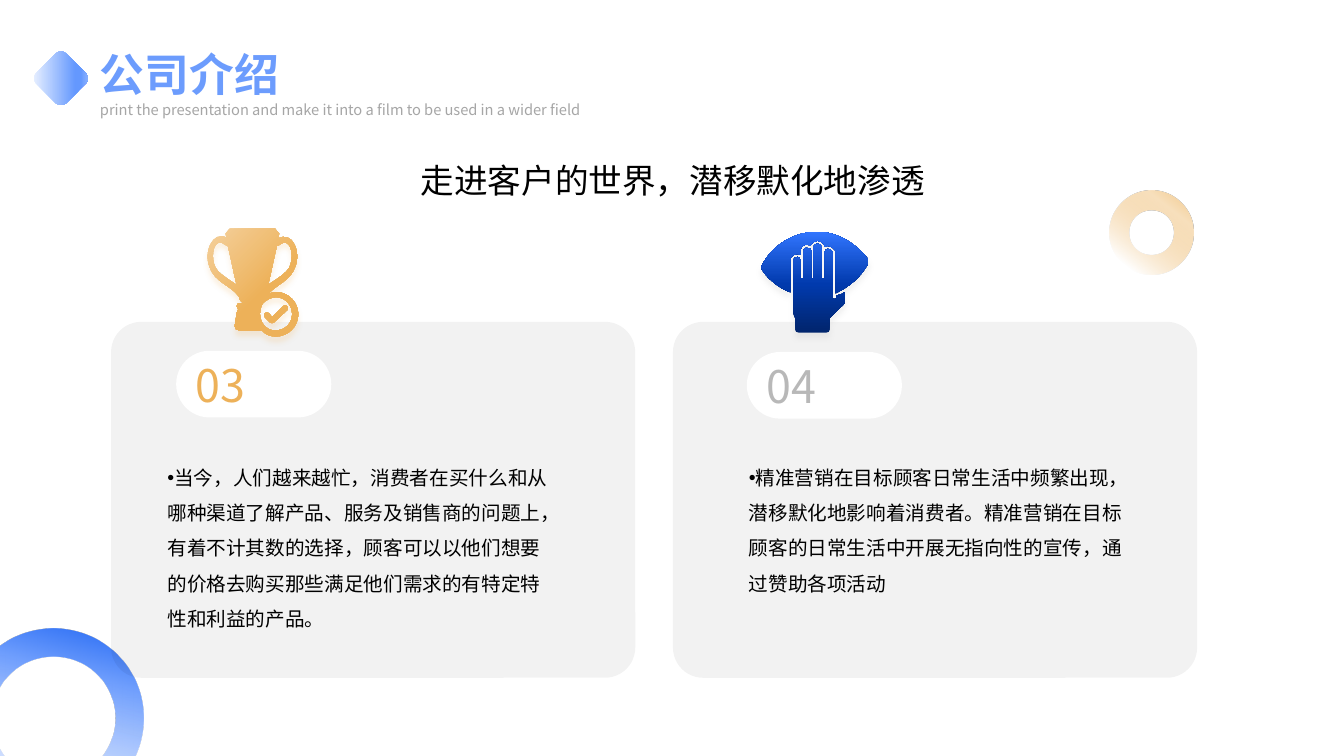
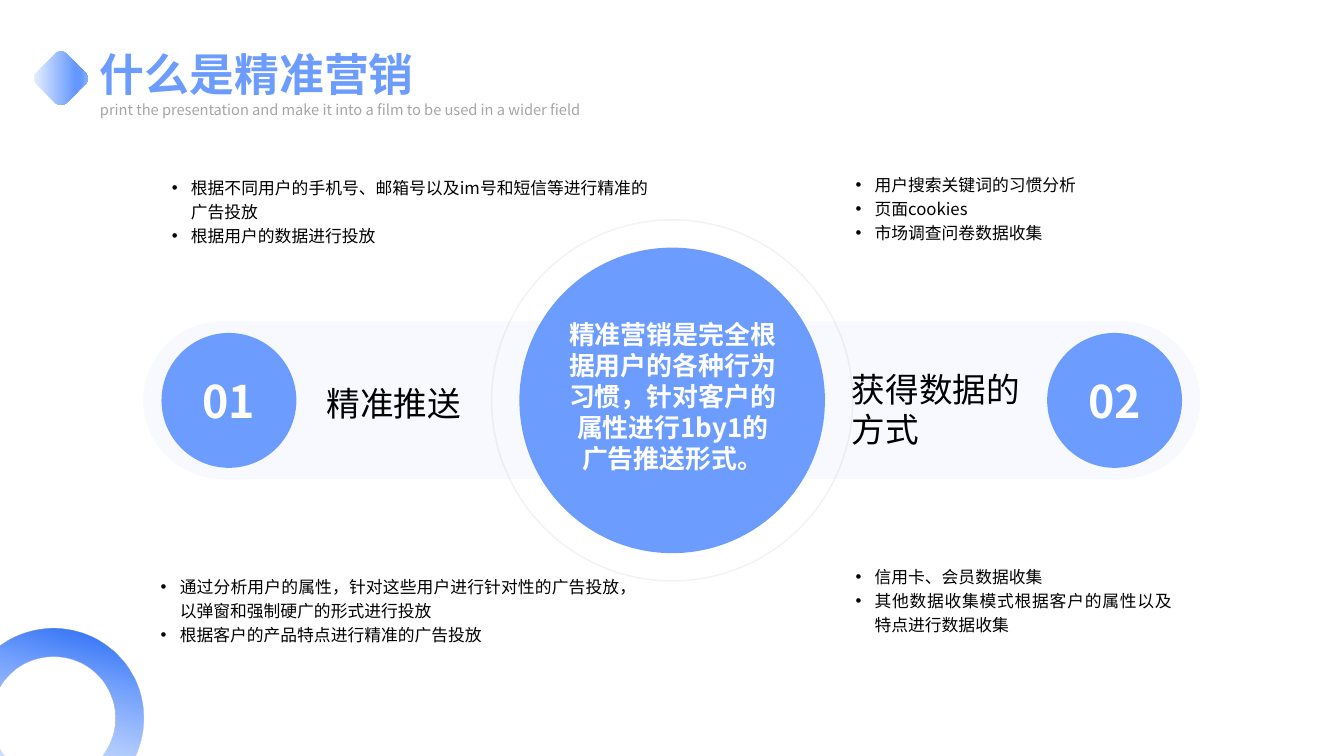
from lxml.etree import Element, SubElement
from pptx import Presentation
from pptx.dml.color import RGBColor
from pptx.enum.shapes import MSO_SHAPE as Kind
from pptx.enum.text import MSO_ANCHOR as Anchor
from pptx.enum.text import MSO_AUTO_SIZE as Fit
from pptx.enum.text import PP_ALIGN as Align
from pptx.oxml.ns import qn
from pptx.util import Cm, Pt

FONT = "Noto Sans CJK SC"
BLUE = RGBColor(0x6C, 0x9C, 0xFD)
GOLD = RGBColor(0xED, 0xB1, 0x59)
SILVER = RGBColor(0xB8, 0xB8, 0xB8)
GRAY = RGBColor(0xA6, 0xA6, 0xA6)
RIM = RGBColor(0x80, 0x80, 0x80)
BLACK = RGBColor(0, 0, 0)
WHITE = RGBColor(0xFF, 0xFF, 0xFF)

# Gradients: direction in degrees, then (position, colour, opacity)
GEM_FADE = 315, [(0, "EEF4FF", 100), (74, "6498FE", 100),
                 (83, "6498FE", 100), (100, "98BAFE", 100)]
RING_FADE = 270, [(0, "0351EF", 100), (32, "709FFD", 100), (97, "A7C4FE", 0)]
HALO_FADE = 270, [(0, "EDB159", 100), (32, "F8E0BD", 100), (75, "EDB159", 0)]
CUP_FADE = 45, [(0, "F4D09B", 100), (60, "EDB159", 100)]
HAND_FADE = 270, [(0, "01256D", 100), (48, "013AAD", 100), (100, "3175FE", 100)]

TAGLINE = "print the presentation and make it into a film to be used in a wider field"

# Icon outlines in hundredths of an inch: pairs are corners, sixes are curves
HOLE = [(75, 14), (73, 15, 72, 15, 70, 17), (70, 17, 69, 17, 69, 17),
        (66, 28, 63, 45, 60, 56), (63, 54, 66, 52, 69, 50),
        (73, 47, 78, 44, 81, 39), (86, 30, 84, 12, 75, 14)]
CUP = [(22, 0), (67, 0), (71, 5), (71, 5, 71, 7, 70, 10),
       (84, 2, 93, 23, 87, 38), (82, 52, 69, 55, 60, 65),
       (63, 64, 65, 63, 68, 63), (80, 63, 90, 73, 90, 85),
       (90, 97, 80, 107, 68, 107), (62, 107, 57, 105, 54, 101),
       (31, 101), (29, 101, 27, 99, 27, 97), (29, 84),
       (29, 82, 30, 80, 31, 80), (30, 80, 29, 78, 29, 77),
       (29, 76, 30, 74, 31, 74), (35, 74), (33, 72, 31, 70, 31, 67),
       (31, 67, 31, 66, 30, 66), (22, 56, 7, 53, 2, 38),
       (-4, 23, 5, 2, 19, 9), (18, 7, 18, 5, 18, 5)]
TICK = [(75, 77), (76, 76, 78, 76, 79, 77), (80, 78, 80, 80, 79, 81),
        (66, 93), (65, 94, 63, 94, 62, 93), (57, 88),
        (56, 87, 56, 85, 57, 84), (58, 83, 60, 83, 61, 84), (64, 88)]
DISC = [(68, 68), (63, 68, 58, 71, 55, 74), (53, 77, 52, 81, 52, 85),
        (52, 91, 55, 97, 61, 100), (63, 101, 65, 101, 68, 101),
        (77, 101, 84, 94, 84, 85), (84, 76, 77, 68, 68, 68)]
HAND = [(56, 12), (54, 12, 52, 13, 52, 15), (52, 46), (50, 46), (50, 19),
        (50, 17, 48, 16, 45, 16), (44, 16, 42, 17, 42, 19), (42, 46),
        (39, 46), (39, 28), (39, 27, 38, 25, 36, 25),
        (34, 25, 32, 27, 32, 28), (32, 79), (32, 81, 33, 84, 34, 86),
        (34, 97), (34, 99, 35, 100, 37, 100), (65, 100),
        (67, 100, 68, 99, 68, 97), (68, 86), (80, 74),
        (83, 72, 83, 70, 83, 68), (83, 60), (79, 63, 75, 63, 75, 63),
        (75, 66, 74, 67, 73, 67), (71, 67, 71, 65, 71, 64), (71, 20),
        (71, 19, 68, 17, 66, 17), (65, 17, 63, 19, 63, 20), (63, 46),
        (60, 46), (60, 15), (60, 13, 58, 12, 56, 12)]
EYE = [(52, 0), (30, 2, 11, 14, 1, 33), (0, 34, 0, 36, 1, 38),
       (8, 48, 18, 56, 29, 60), (29, 28), (29, 27, 30, 25, 31, 24),
       (32, 23, 34, 22, 36, 22), (37, 22, 38, 23, 39, 23), (39, 19),
       (39, 17, 40, 16, 41, 14), (43, 13, 44, 13, 45, 13),
       (47, 13, 48, 13, 49, 14), (50, 12, 51, 11, 51, 11),
       (53, 10, 54, 9, 56, 9), (58, 9, 59, 10, 61, 11),
       (62, 12, 63, 13, 63, 15), (64, 15, 65, 14, 66, 14),
       (68, 14, 70, 15, 71, 16), (73, 17, 74, 19, 74, 20), (74, 61),
       (87, 55, 99, 45, 106, 32), (107, 31, 107, 29, 106, 27),
       (93, 10, 73, -1, 52, 0)]


def flip(outline, width):
    """Mirror an outline across the middle of the given width."""
    return [tuple(width - v if i % 2 == 0 else v for i, v in enumerate(step))
            for step in outline]


def tint(node, code, alpha):
    color = SubElement(node, qn("a:srgbClr"), val=str(code))
    SubElement(color, qn("a:alpha"), val=str(alpha * 1000))


def fade(shape, turn, stops):
    """Fill a shape with a gradient of several stops."""
    shape.fill.background()
    grad = shape.element.spPr.find(qn("a:noFill"))
    grad.tag = qn("a:gradFill")
    grad.set("rotWithShape", "1")
    row = SubElement(grad, qn("a:gsLst"))
    for pos, code, alpha in stops:
        tint(SubElement(row, qn("a:gs"), pos=str(pos * 1000)), code, alpha)
    SubElement(grad, qn("a:lin"), ang=str(turn * 60000), scaled="0")


def veil(shape, alpha):
    for color in shape.element.spPr.iter(qn("a:srgbClr")):
        SubElement(color, qn("a:alpha"), val=str(alpha * 1000))


def draw(slide, kind, box, fill=None, line=None, alpha=100, adj=None, turn=0):
    """Add a preset shape; a tuple as fill means a gradient."""
    shape = slide.shapes.add_shape(kind, *map(Cm, box))
    shape.shadow.inherit = False
    shape.rotation = turn
    if adj is not None:
        shape.adjustments[0] = adj
    shape.line.fill.background()
    if line is not None:
        shape.line.color.rgb = line
        shape.line.width = Pt(1)
    if fill is None:
        shape.fill.background()
    elif isinstance(fill, RGBColor):
        shape.fill.solid()
        shape.fill.fore_color.rgb = fill
    else:
        fade(shape, *fill)
    if alpha < 100:
        veil(shape, alpha)
    return shape


def bend(shape, outlines):
    """Turn the straight edges that stand for curves into Bezier curves."""
    ends = [step[-2:] for outline in outlines for step in outline]
    x, y = (min(axis) for axis in zip(*ends))
    steps = [step for outline in outlines for step in outline[1:]]
    edges = list(shape.element.iter(qn("a:lnTo")))
    for edge, step in zip(edges, steps):
        if len(step) == 6:
            edge.tag = qn("a:cubicBezTo")
            for i in (0, 1):
                dot = Element(qn("a:pt"), x=str(step[2 * i] - x),
                              y=str(step[2 * i + 1] - y))
                edge.insert(i, dot)


def icon(slide, left, top, outlines, fill, glow):
    """Draw outlines as one freeform with a soft shadow."""
    pen = slide.shapes.build_freeform(*outlines[0][0], scale=Cm(2.54) / 100)
    for i, outline in enumerate(outlines):
        if i:
            pen.move_to(*outline[0])
        pen.add_line_segments([step[-2:] for step in outline[1:]])
    shape = pen.convert_to_shape(Cm(left), Cm(top))
    bend(shape, outlines)
    shape.line.fill.background()
    fade(shape, *fill)
    shape.shadow.inherit = False
    drop = SubElement(shape.element.spPr.find(qn("a:effectLst")), qn("a:outerShdw"),
                      blurRad=str(Pt(4)), dist=str(Pt(4)), dir="5400000")
    tint(drop, glow, 20)


def write(shape, *lines, size=12, color=BLACK, bold=False, align=Align.LEFT,
          space=1.0, anchor=Anchor.TOP, hang=None):
    """Put paragraphs in a shape; hang is the left margin of bulleted text."""
    frame = shape.text_frame
    frame.word_wrap = True
    frame.auto_size = Fit.NONE
    frame.vertical_anchor = anchor
    frame.margin_left = frame.margin_right = Cm(0.25)
    frame.margin_top = frame.margin_bottom = Cm(0.13)
    for i, line in enumerate(lines):
        para = frame.add_paragraph() if i else frame.paragraphs[0]
        para.alignment = align
        para.line_spacing = space
        para.space_before = para.space_after = Pt(0)
        if hang is not None:
            props = para._p.get_or_add_pPr()
            props.set("marL", str(Cm(hang)))
            props.set("indent", str(-Cm(0.48)))
            SubElement(props, qn("a:buFont"), typeface="Arial")
            SubElement(props, qn("a:buChar"), char="•")
        run = para.add_run()
        run.text = line
        font = run.font
        font.name, font.size, font.bold = FONT, Pt(size), bold
        font.color.rgb = color
        SubElement(font._element, qn("a:ea"), typeface=FONT)


def place(slide, holder, box):
    """Move a placeholder to a box, in front of what is already drawn."""
    holder.left, holder.top, holder.width, holder.height = map(Cm, box)
    slide.shapes.element.append(holder.element)
    return holder


def note(slide, box, *lines, **style):
    write(slide.shapes.add_textbox(*map(Cm, box)), *lines, **style)


def decor(deck, slide):
    """Move the gem and the corner ring to the slide master."""
    gem = draw(slide, Kind.ROUNDED_RECTANGLE, (1, 1.44, 1.07, 1.07), GEM_FADE, turn=45)
    ring = draw(slide, Kind.DONUT, (-0.91, 15.83, 4.52, 4.52), RING_FADE,
                adj=0.158, turn=195)
    for shape in (gem, ring):
        deck.slide_master.shapes.element.append(shape.element)


def head(slide, title):
    write(place(slide, slide.shapes.title, (2.27, 1.04, 18.2, 1.63)), title,
          size=32, color=BLUE, bold=True)
    note(slide, (2.27, 2.36, 15.5, 0.74), TAGLINE, size=10.5, color=GRAY, space=1.14)


def card(slide, box, holder, number, color, text, pill, body):
    """Panel with a number pill and a paragraph, at offsets from its corner."""
    left, top, wide, high = box
    draw(slide, Kind.ROUNDED_RECTANGLE, box, BLACK, alpha=5, adj=0.085)
    (x, y), (dx, width) = pill, body
    tag = draw(slide, Kind.ROUNDED_RECTANGLE, (left + x, top + y, 3.91, 1.68),
               WHITE, adj=0.5)
    write(tag, number, size=32, color=color, anchor=Anchor.MIDDLE)
    write(place(slide, holder, (left + dx, top + 3.2, width, 4.65)), text,
          size=14, space=1.5, hang=0)


def intro(slide):
    """Two numbered cards under a heading."""
    note(slide, (8.92, 3.91, 16.07, 1.27), "走进客户的世界，潜移默化地渗透",
         size=24, align=Align.CENTER)
    one, two = list(slide.placeholders)[1:]
    top, wide, high = 8.11, 13.21, 8.97
    left, right = 2.8, 16.96
    card(slide, (left, top, wide, high), one, "03", GOLD,
         "当今，人们越来越忙，消费者在买什么和从哪种渠道了解产品、服务及销售商的问题上，"
         "有着不计其数的选择，顾客可以以他们想要的价格去购买那些满足他们需求的有特定特性和利益的产品。",
         (1.64, 0.73), (1.17, 10.2))
    card(slide, (right, top, wide, high), two, "04", SILVER,
         "精准营销在目标顾客日常生活中频繁出现，潜移默化地影响着消费者。"
         "精准营销在目标顾客的日常生活中开展无指向性的宣传，通过赞助各项活动",
         (1.86, 0.76), (1.66, 10.39))
    icon(slide, left + 2.43, top - 2.35, [CUP, HOLE, flip(HOLE, 89), DISC, TICK],
         CUP_FADE, GOLD)
    icon(slide, right + 2.22, top - 2.27, [HAND, EYE], HAND_FADE, SILVER)
    draw(slide, Kind.DONUT, (27.96, 4.8, 2.11, 2.11), HALO_FADE, adj=0.236, turn=218.2)


def band(slide, box):
    """Wide pill with a numbered disc near each end and a label beside it."""
    left, top, wide, high = box
    draw(slide, Kind.ROUNDED_RECTANGLE, box, BLUE, alpha=5, adj=0.5)
    disc, gap = 3.4, 0.46
    for number, x in (("01", left + gap), ("02", left + wide - gap - disc)):
        spot = draw(slide, Kind.OVAL, (x, top + 0.29, disc, disc), BLUE)
        write(spot, number, size=32, color=WHITE, bold=True,
              align=Align.CENTER, anchor=Anchor.MIDDLE)
    note(slide, (left + 4.37, top + 1.42, 4.75, 1.27), "精准推送", size=24)
    note(slide, (left + 17.61, top + 1.07, 4.75, 2.31), "获得数据的方式", size=24)


def hub(slide, x, y):
    """Ringed circle with the definition, centred on a point."""
    for size, style in ((9.1, {"line": RIM, "alpha": 10}), (7.7, {"fill": BLUE})):
        draw(slide, Kind.OVAL, (x - size / 2, y - size / 2, size, size), **style)
    note(slide, (x - 2.86, y - 2.19, 5.74, 5.28),
         "精准营销是完全根据用户的各种行为习惯，针对客户的属性进行1by1的广告推送形式。",
         size=18.5, color=WHITE, bold=True, align=Align.CENTER)


def what(slide):
    """Definition in the middle with four lists around it."""
    band(slide, (3.61, 8.1, 26.64, 3.97))
    hub(slide, 16.94, 10.09)
    lists = [
        ((4.08, 4.24, 12.5, 2.34),
         ("根据不同用户的手机号、邮箱号以及im号和短信等进行精准的广告投放", "根据用户的数据进行投放")),
        ((21.31, 4.16, 12, 3.94),
         ("用户搜索关键词的习惯分析", "页面cookies", "市场调查问卷数据收集")),
        ((3.8, 14.29, 12.5, 2.34),
         ("通过分析用户的属性，针对这些用户进行针对性的广告投放，以弹窗和强制硬广的形式进行投放",
          "根据客户的产品特点进行精准的广告投放")),
        ((21.31, 14.05, 8.48, 2.11),
         ("信用卡、会员数据收集", "其他数据收集模式根据客户的属性以及特点进行数据收集")),
    ]
    for holder, (box, lines) in zip(list(slide.placeholders)[1:], lists):
        write(place(slide, holder, box), *lines, align=Align.JUSTIFY,
              space=1.2, hang=0.48)


def main():
    deck = Presentation()
    deck.slide_width, deck.slide_height = Cm(33.87), Cm(19.05)
    pages = [(3, "公司介绍", intro), (4, "什么是精准营销", what)]
    for index, (layout, title, fill) in enumerate(pages):
        slide = deck.slides.add_slide(deck.slide_layouts[layout])
        if index == 0:
            decor(deck, slide)
        fill(slide)
        head(slide, title)
    deck.save("out.pptx")


if __name__ == "__main__":
    main()
